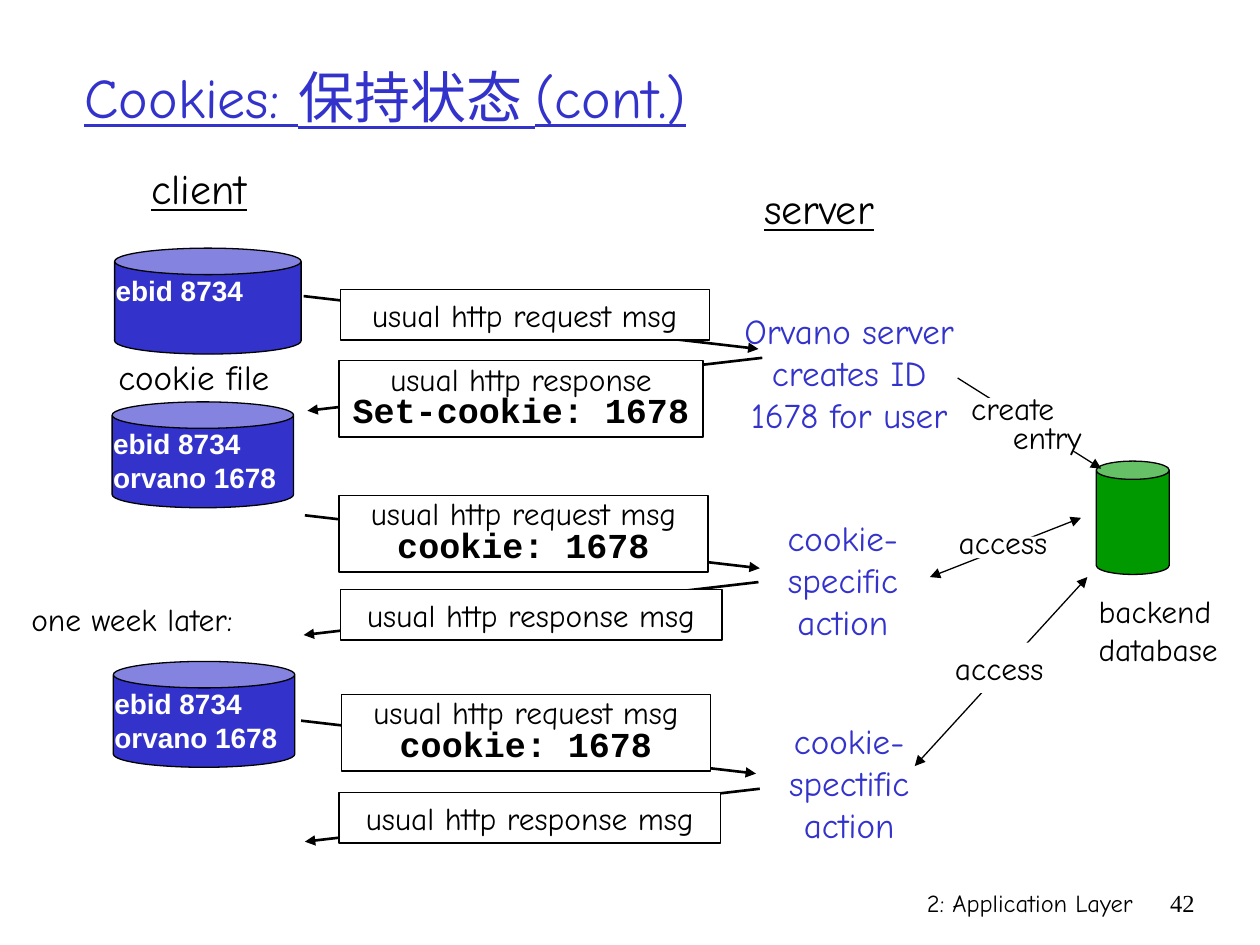
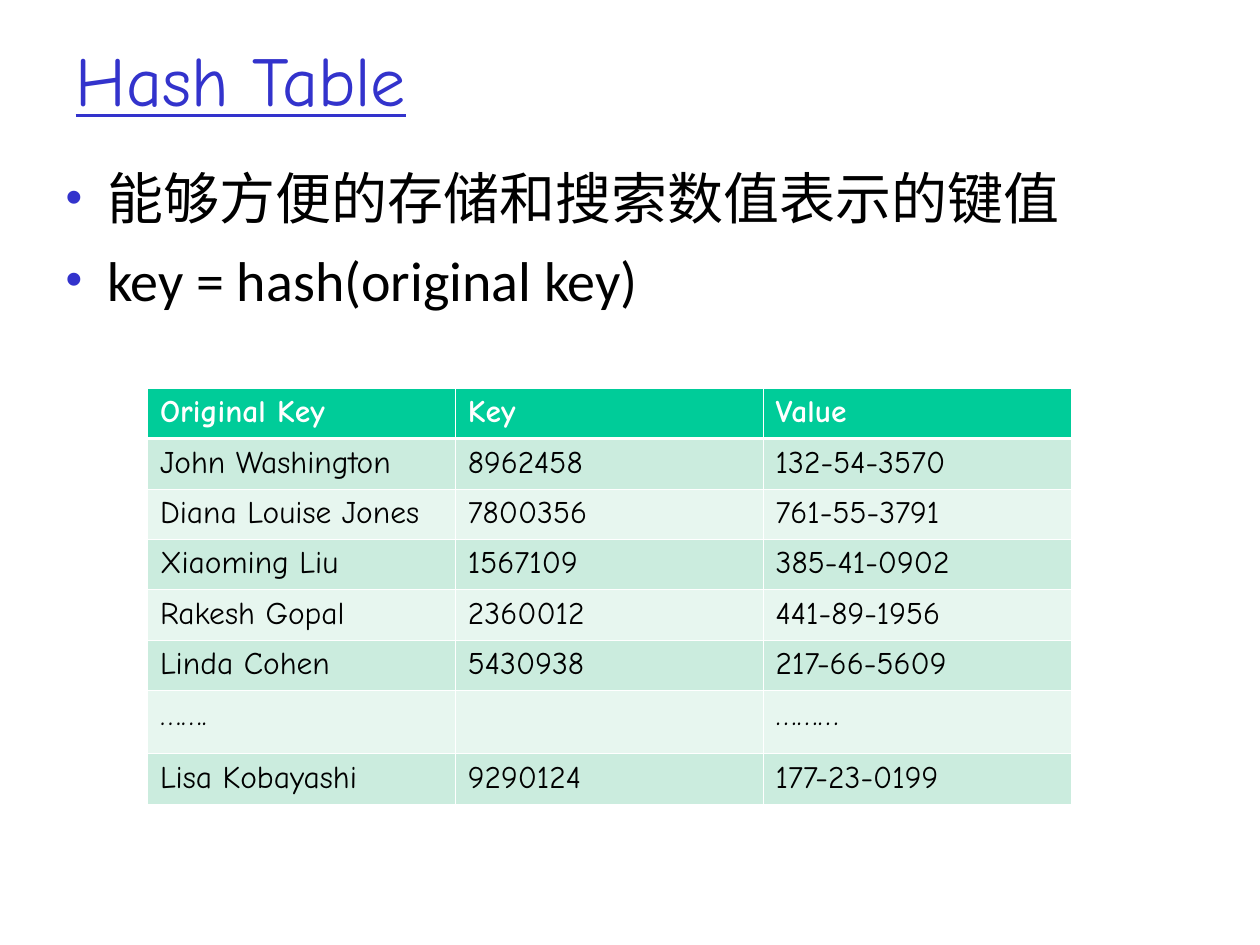
from pptx import Presentation
from pptx.dml.color import RGBColor
from pptx.enum import shapes, text
from pptx.oxml import parse_xml
from pptx.oxml.ns import nsdecls, qn
from pptx.util import Inches, Pt
from lxml import etree

BLUE = RGBColor(0x33, 0x33, 0xCC)
GREEN = RGBColor(0x00, 0x99, 0x00)
TEAL = RGBColor(0x00, 0xCC, 0x99)
MINT = RGBColor(0xCB, 0xEC, 0xDE)
PALE = RGBColor(0xE7, 0xF6, 0xEF)
BLACK = RGBColor(0, 0, 0)
WHITE = RGBColor(0xFF, 0xFF, 0xFF)
COMIC = "Comic Neue"
LEFT, MID, RIGHT = text.PP_ALIGN.LEFT, text.PP_ALIGN.CENTER, text.PP_ALIGN.RIGHT
FIT = text.MSO_AUTO_SIZE.SHAPE_TO_FIT_TEXT
THIN, THICK = 0.75, 1.5


def write(frame, words, size=18, font=COMIC, color=BLACK, bold=False,
          under=False, align=LEFT, space=None, before=None, more=False):
    """Write one paragraph per line of words; more adds to what is there."""
    for i, line in enumerate(words.split("\n")):
        para = frame.add_paragraph() if more or i else frame.paragraphs[0]
        para.alignment = align
        if space:
            para.line_spacing = space
        if before is not None:
            para.space_before = Pt(before)
        if line:
            run = para.add_run()
            run.text = line
            face = run.font
            face.size, face.name, face.bold = Pt(size), font, bold
            face.underline = under
            face.color.rgb = color
    return frame


def place(part, box):
    """Move a shape to a box of left, top, width, height in inches."""
    part.left, part.top, part.width, part.height = map(Inches, box)


def label(slide, box, words, wrap=False, fill=None, **fmt):
    """Add a text box."""
    part = slide.shapes.add_textbox(*map(Inches, box))
    frame = part.text_frame
    frame.word_wrap = wrap
    frame.auto_size = FIT
    if fill is not None:
        part.fill.solid()
        part.fill.fore_color.rgb = fill
    return write(frame, words, **fmt)


def solid(slide, kind, box, fill, edge=BLACK):
    """Add a flat preset shape, with a thin edge or none."""
    part = slide.shapes.add_shape(kind, *map(Inches, box))
    part.shadow.inherit = False
    part.fill.solid()
    part.fill.fore_color.rgb = fill
    if edge is None:
        part.line.fill.background()
    else:
        part.line.color.rgb = edge
        part.line.width = Pt(THIN)
    return part


def arrow(slide, start, end, width=THIN, both=False):
    """Add a straight arrow, with a head at one end or both."""
    part = slide.shapes.add_connector(
        shapes.MSO_CONNECTOR.STRAIGHT, *map(Inches, (*start, *end)))
    part.line.color.rgb = BLACK
    part.line.width = Pt(width)
    line = part.line._get_or_add_ln()
    for tag in ("a:headEnd", "a:tailEnd")[0 if both else 1:]:
        etree.SubElement(line, qn(tag), type="triangle")
    etree.SubElement(part._element.spPr, qn("a:effectLst"))


def title(slide, box, words, size):
    """Fill the title placeholder in the shared style."""
    part = slide.shapes.title
    place(part, box)
    frame = part.text_frame
    frame.auto_size = text.MSO_AUTO_SIZE.NONE
    frame.vertical_anchor = text.MSO_ANCHOR.MIDDLE
    write(frame, words, size=size, color=BLUE, under=True)


def footer(slide, chapter, number):
    """Add the chapter name and page number at the foot."""
    label(slide, (5.92, 7, 3.17, 0.5), chapter, wrap=True, size=14, align=RIGHT)
    label(slide, (9.08, 7, 0.5, 0.5), number, wrap=True, size=14,
          font="Times New Roman", align=RIGHT)


def store(slide, left, top, width, words):
    """Draw a cookie file as a can with its entries."""
    solid(slide, shapes.MSO_SHAPE.CAN, (left, top, width, 0.84), BLUE)
    label(slide, (left - 0.09, top + 0.15, 1.74, 0.64), words, wrap=True,
          size=16, font="Arial", color=WHITE, bold=True)


def message(slide, start, way, box, words, code=None):
    """Draw an arrow to the server (way 1) or client (-1) under its message."""
    x, y = start
    arrow(slide, start, (x + way * 3.61, y + 0.42), width=THICK)
    part = solid(slide, shapes.MSO_SHAPE.RECTANGLE,
                 (*box, 0.61 if code else 0.4), WHITE)
    frame = part.text_frame
    frame.word_wrap = True
    frame.auto_size = FIT
    space = 0.8 if code else None
    write(frame, words, align=MID, space=space)
    if code:
        write(frame, code, size=20, font="Courier New", bold=True,
              align=MID, space=space, more=True)


def heading(slide, box, words):
    """Add an underlined column heading."""
    label(slide, box, words, size=24, under=True, align=MID)


def client(slide):
    """Draw the client's column."""
    heading(slide, (0.98, 1.24, 1.2, 0.5), "client")
    label(slide, (0.84, 2.77, 1.95, 0.44), "cookie file", wrap=True, size=20)
    label(slide, (0.15, 4.71, 1.95, 0.4), "one week later:")
    store(slide, 0.91, 1.97, 1.48, "ebid 8734")
    for left, top in ((0.89, 3.19), (0.9, 5.25)):
        store(slide, left, top, 1.44, "ebid 8734\norvano 1678")


def traffic(slide):
    """Draw the messages between client and server."""
    ask, reply = "usual http request msg", "usual http response msg"
    key = "cookie: 1678"
    message(slide, (6.02, 4.62), -1, (2.7, 4.68, 3.03), reply)
    message(slide, (6.03, 6.26), -1, (2.69, 6.29, 3.03), reply)
    message(slide, (2.42, 4.09), 1, (2.69, 3.93, 2.93), ask, key)
    message(slide, (2.41, 2.35), 1, (2.7, 2.3, 2.93), ask)
    message(slide, (6.05, 2.84), -1, (2.69, 2.86, 2.89),
            "usual http response", "Set-cookie: 1678")
    message(slide, (2.39, 5.72), 1, (2.71, 5.51, 2.93), ask, key)


def server(slide):
    """Draw the server's actions."""
    heading(slide, (5.85, 1.4, 1.3, 0.5), "server")
    for mid, top, words in (
            (6.74, 2.41, "Orvano server\ncreates ID\n1678 for user"),
            (6.69, 4.05, "cookie-\nspecific\naction"),
            (6.74, 5.66, "cookie-\nspectific\naction")):
        label(slide, (mid - 1, top, 2, 1.1), words, size=20, color=BLUE, align=MID)


def backend(slide):
    """Draw the database and the calls to it."""
    block = shapes.MSO_SHAPE.RECTANGLE
    solid(slide, shapes.MSO_SHAPE.CAN, (8.7, 3.66, 0.58, 0.9), GREEN)
    arrow(slide, (7.38, 4.58), (8.58, 4.11), both=True)
    solid(slide, block, (7.65, 4.26, 0.67, 0.17), WHITE, edge=None)
    label(slide, (7.51, 4.1, 0.95, 0.4), "access")
    arrow(slide, (7.6, 3), (8.74, 3.72))
    solid(slide, block, (7.76, 3.16, 1.05, 0.42), WHITE, edge=None)
    frame = label(slide, (7.61, 3.11, 1.28, 0.55), "create\nentry", wrap=True, space=0.75)
    frame.paragraphs[1]._p.get_or_add_pPr().set("marL", str(Inches(0.33)))
    arrow(slide, (7.26, 6.08), (8.63, 4.58), both=True)
    label(slide, (7.48, 5.1, 0.95, 0.4), "access", fill=WHITE)
    label(slide, (8.62, 4.65, 1.25, 0.7), "backend\ndatabase", fill=WHITE)


def bullets(slide, box, words):
    """Fill the body placeholder with a bulleted list."""
    part = slide.placeholders[1]
    place(part, box)
    frame = part.text_frame
    frame.auto_size = text.MSO_AUTO_SIZE.NONE
    write(frame, words, size=32, font="Calibri", before=8)
    for para in frame.paragraphs:
        props = para._p.get_or_add_pPr()
        props.set("marL", str(Inches(0.33)))
        props.set("indent", str(-Inches(0.33)))
        for item in (f'<a:buClr {nsdecls("a")}><a:srgbClr val="{BLUE}"/></a:buClr>',
                     f'<a:buSzPct {nsdecls("a")} val="85000"/>',
                     f'<a:buChar {nsdecls("a")} char="•"/>'):
            props.append(parse_xml(item))


def border(cell, row):
    """Rule a cell in white, thicker below the heading."""
    props = cell._tc.get_or_add_tcPr()
    for i, side in enumerate("LRTB"):
        heavy = (row, side) in ((0, "B"), (1, "T"))
        width = Pt(1.5 if heavy else 0.45)
        props.insert(i, parse_xml(
            f'<a:ln{side} {nsdecls("a")} w="{width}"><a:solidFill>'
            f'<a:srgbClr val="{WHITE}"/></a:solidFill></a:ln{side}>'))


def grid(slide, box, rows):
    """Add the table of keys, with a heading and banded rows."""
    table = slide.shapes.add_table(len(rows), len(rows[0]), *map(Inches, box)).table
    for r, row in enumerate(rows):
        table.rows[r].height = Inches(0.4 if all(row) else 0.5)
        for c, words in enumerate(row):
            cell = table.cell(r, c)
            cell.fill.solid()
            cell.fill.fore_color.rgb = TEAL if r == 0 else MINT if r % 2 else PALE
            border(cell, r)
            write(cell.text_frame, words, color=BLACK if r else WHITE, bold=r == 0)


def cookies(deck):
    """Build the slide on keeping state with cookies."""
    slide = deck.slides.add_slide(deck.slide_layouts[5])
    footer(slide, "2: Application Layer", "42")
    title(slide, (0.57, 0.14, 8.5, 1.25), "Cookies: 保持状态 (cont.)", 32)
    for region in (traffic, client, server, backend):
        region(slide)


def hashing(deck):
    """Build the slide on hash tables."""
    slide = deck.slides.add_slide(deck.slide_layouts[1])
    title(slide, (0.5, 0, 9, 1.25), "Hash Table", 40)
    bullets(slide, (0.42, 1.25, 8.83, 1.93),
            "能够方便的存储和搜索数值表示的键值\nkey = hash(original key)")
    grid(slide, (1.17, 3.08, 7.33, 3.3), (
        ("Original Key", "Key", "Value"),
        ("John Washington", "8962458", "132-54-3570"),
        ("Diana Louise Jones", "7800356", "761-55-3791"),
        ("Xiaoming Liu", "1567109", "385-41-0902"),
        ("Rakesh Gopal", "2360012", "441-89-1956"),
        ("Linda Cohen", "5430938", "217-66-5609"),
        ("…….", "", "………"),
        ("Lisa Kobayashi", "9290124", "177-23-0199")))


deck = Presentation()
deck.slide_width, deck.slide_height = Inches(10), Inches(7.5)
cookies(deck)
hashing(deck)
deck.save("out.pptx")
